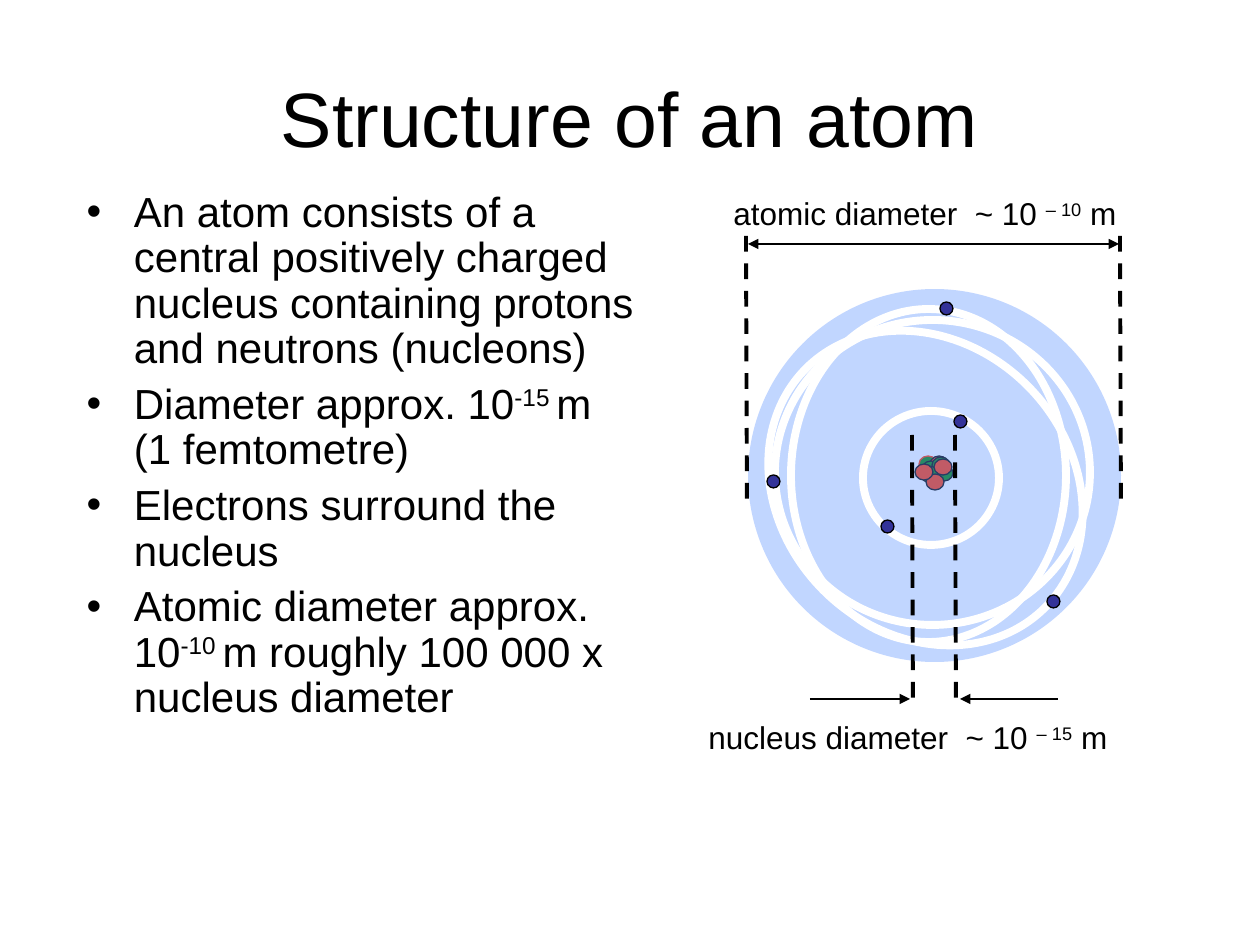
"""Build the "Structure of an atom" slide."""
from dataclasses import dataclass
from typing import Optional

from lxml import etree
from pptx import Presentation
from pptx import util as u
from pptx.dml.color import RGBColor
from pptx.enum import dml, shapes, text
from pptx.oxml import ns

PX = 914400 / 126


@dataclass(frozen=True)
class Theme:
    font: str = "Arial"
    ink: str = "000000"
    proton: str = "FF3300"
    neutron: str = "008000"
    cloud: str = "6699FF"
    orbit: str = "FFFFFF"
    electron: str = "333399"
    title: int = 44
    body: int = 24
    label: int = 18
    thin: float = 0.75
    dashed: float = 2.25
    ring: float = 4.5


THEME = Theme()


@dataclass(frozen=True)
class Span:
    words: str
    raised: bool = False


@dataclass(frozen=True)
class Disc:
    left: int
    top: int
    width: int
    height: int
    fill: Optional[str] = None
    line: Optional[str] = THEME.ink
    weight: float = THEME.thin
    opacity: int = 100
    turn: float = 0


@dataclass(frozen=True)
class Rule:
    x1: int
    y1: int
    x2: int
    y2: int
    dashed: bool = False
    head: bool = False
    tail: bool = False


@dataclass(frozen=True)
class Label:
    left: int
    top: int
    name: str
    power: str


P, N = THEME.proton, THEME.neutron
NUCLEONS = [
    Disc(left, top, 18, 16, fill, line)
    for left, top, fill, line in [
        (919, 456, N, P), (930, 456, P, THEME.ink), (922, 461, N, THEME.ink),
        (932, 457, N, THEME.ink), (935, 465, N, THEME.ink), (920, 466, N, THEME.ink),
        (926, 474, P, THEME.ink), (934, 459, P, THEME.ink), (915, 464, P, THEME.ink),
    ]
]
CLOUD = Disc(748, 289, 373, 373, THEME.cloud, None, opacity=40)
ORBITS = [
    Disc(*frame, line=THEME.orbit, weight=THEME.ring, turn=turn)
    for frame, turn in [
        ((863, 411, 136, 134), 0), ((791, 309, 275, 333), 0),
        ((775, 320, 315, 305), 0), ((781, 319, 289, 338), 315.2),
    ]
]
ELECTRONS = [
    Disc(left, top, 13, 13, THEME.electron)
    for left, top in [(1047, 595), (767, 475), (954, 415), (940, 302), (881, 520)]
]
DIMENSIONS = [
    (
        [
            Rule(955, 435, 956, 706, dashed=True),
            Rule(912, 435, 913, 706, dashed=True),
            Rule(810, 699, 910, 699, tail=True),
            Rule(960, 699, 1058, 699, head=True),
        ],
        Label(696, 712, "nucleus diameter", "– 15"),
    ),
    (
        [
            Rule(746, 236, 747, 507, dashed=True),
            Rule(1120, 236, 1121, 507, dashed=True),
            Rule(748, 244, 1119, 244, head=True, tail=True),
        ],
        Label(721, 188, "atomic diameter", "– 10"),
    ),
]
BULLETS = [
    [Span("An atom consists of a central positively charged nucleus "
          "containing protons and neutrons (nucleons)")],
    [Span("Diameter approx. 10"), Span("-15 ", True), Span("m  (1 femtometre)")],
    [Span("Electrons surround the nucleus")],
    [Span("Atomic diameter approx. 10"), Span("-10 ", True),
     Span("m roughly 100 000 x nucleus diameter")],
]


def px(value: int) -> u.Emu:
    """Turn pixels into EMU."""
    return u.Emu(round(value * PX))


def place(box, left: int, top: int, width: int, height: int) -> None:
    """Move and size a box."""
    box.left, box.top, box.width, box.height = map(px, (left, top, width, height))


def write(box, paragraphs: list, *, size: int, align=text.PP_ALIGN.LEFT,
          anchor=text.MSO_ANCHOR.TOP, fit=text.MSO_AUTO_SIZE.NONE,
          spacing: float = 1.0, before: float = 0) -> None:
    """Fill a box with formatted paragraphs of spans."""
    frame = box.text_frame
    frame.word_wrap, frame.auto_size, frame.vertical_anchor = True, fit, anchor
    for index, spans in enumerate(paragraphs):
        para = frame.add_paragraph() if index else frame.paragraphs[0]
        para.alignment, para.line_spacing = align, spacing
        para.space_before = u.Pt(before if index else 0)
        para.font.size = u.Pt(size)
        for span in spans:
            run = para.add_run()
            run.text = span.words
            run.font.name, run.font.size = THEME.font, u.Pt(size)
            run.font.color.rgb = RGBColor.from_string(THEME.ink)
            if span.raised:
                run.font._element.set("baseline", "30000")


def draw_disc(group, disc: Disc) -> None:
    """Draw one ellipse."""
    oval = group.shapes.add_shape(
        shapes.MSO_SHAPE.OVAL,
        *map(px, (disc.left, disc.top, disc.width, disc.height)))
    oval.shadow.inherit = False
    oval.rotation = disc.turn
    if disc.fill:
        oval.fill.solid()
        oval.fill.fore_color.rgb = RGBColor.from_string(disc.fill)
        if disc.opacity < 100:
            colour = oval._element.spPr.find(".//" + ns.qn("a:srgbClr"))
            etree.SubElement(colour, ns.qn("a:alpha"), val=str(disc.opacity * 1000))
    else:
        oval.fill.background()
    if disc.line:
        oval.line.color.rgb = RGBColor.from_string(disc.line)
        oval.line.width = u.Pt(disc.weight)
    else:
        oval.line.fill.background()


def draw_rule(group, rule: Rule) -> None:
    """Draw one straight line with optional dashes and arrowheads."""
    line = group.shapes.add_connector(
        shapes.MSO_CONNECTOR.STRAIGHT, *map(px, (rule.x1, rule.y1, rule.x2, rule.y2)))
    line.line.color.rgb = RGBColor.from_string(THEME.ink)
    line.line.width = u.Pt(THEME.dashed if rule.dashed else THEME.thin)
    if rule.dashed:
        line.line.dash_style = dml.MSO_LINE.DASH
    stroke = line.line._get_or_add_ln()
    for tag, wanted in (("a:headEnd", rule.head), ("a:tailEnd", rule.tail)):
        if wanted:
            etree.SubElement(stroke, ns.qn(tag), type="triangle")
    etree.SubElement(line._element.spPr, ns.qn("a:effectLst"))


def draw_label(group, label: Label) -> None:
    """Draw one dimension label."""
    box = group.shapes.add_textbox(*map(px, (label.left, label.top, 470, 50)))
    spans = [Span(f"{label.name}  ~ 10 "), Span(label.power, True), Span(" m")]
    write(box, [spans], size=THEME.label, fit=text.MSO_AUTO_SIZE.SHAPE_TO_FIT_TEXT)


def main() -> None:
    """Build and save the deck."""
    deck = Presentation()
    deck.slide_width, deck.slide_height = px(1260), px(945)
    page = deck.slides.add_slide(deck.slide_layouts[1])
    title, body = page.shapes.title, page.placeholders[1]
    place(title, 63, 38, 1134, 158)
    write(title, [[Span("Structure of an atom")]], size=THEME.title,
          align=text.PP_ALIGN.CENTER, anchor=text.MSO_ANCHOR.MIDDLE)
    place(body, 74, 185, 586, 595)
    write(body, BULLETS, size=THEME.body, spacing=0.9, before=6)
    atom = page.shapes.add_group_shape()
    for disc in [*NUCLEONS, CLOUD, *ORBITS, *ELECTRONS]:
        draw_disc(atom, disc)
    for rules, label in DIMENSIONS:
        dimension = page.shapes.add_group_shape()
        for rule in rules:
            draw_rule(dimension, rule)
        draw_label(dimension, label)
    deck.save("out.pptx")


if __name__ == "__main__":
    main()
